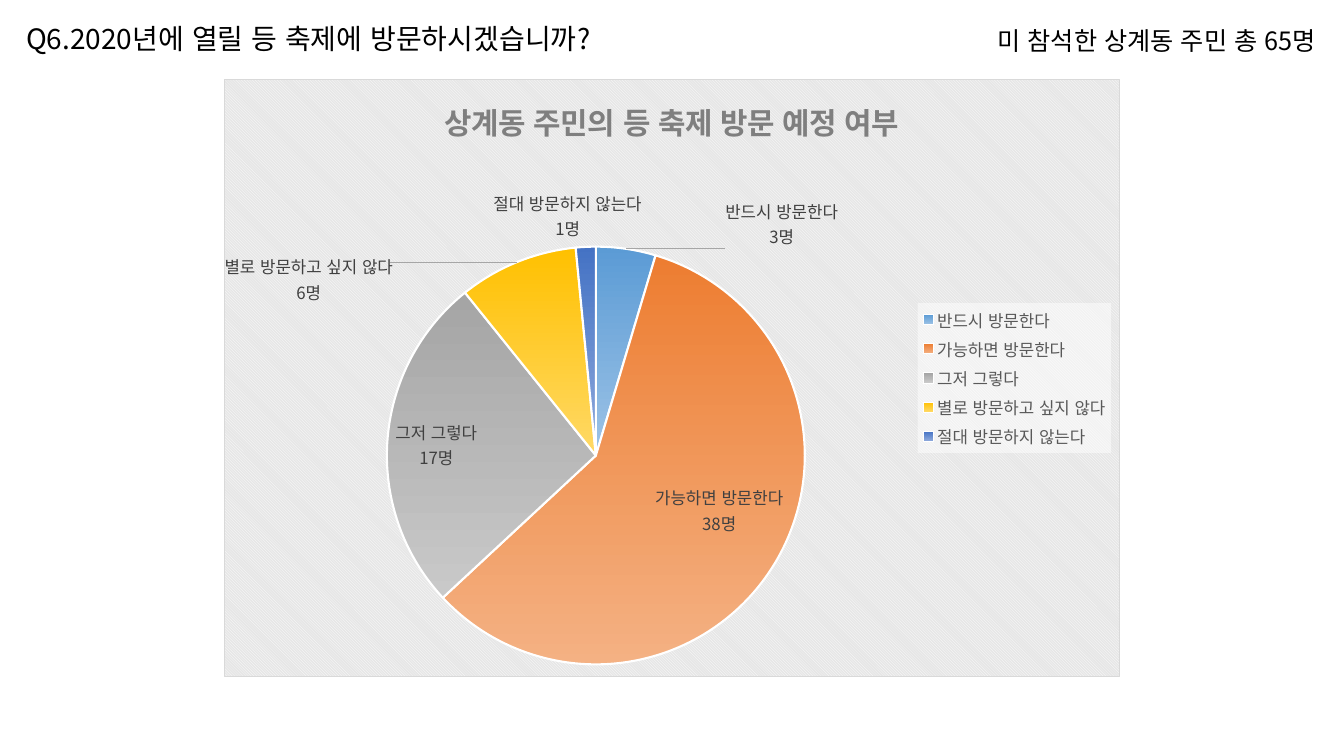
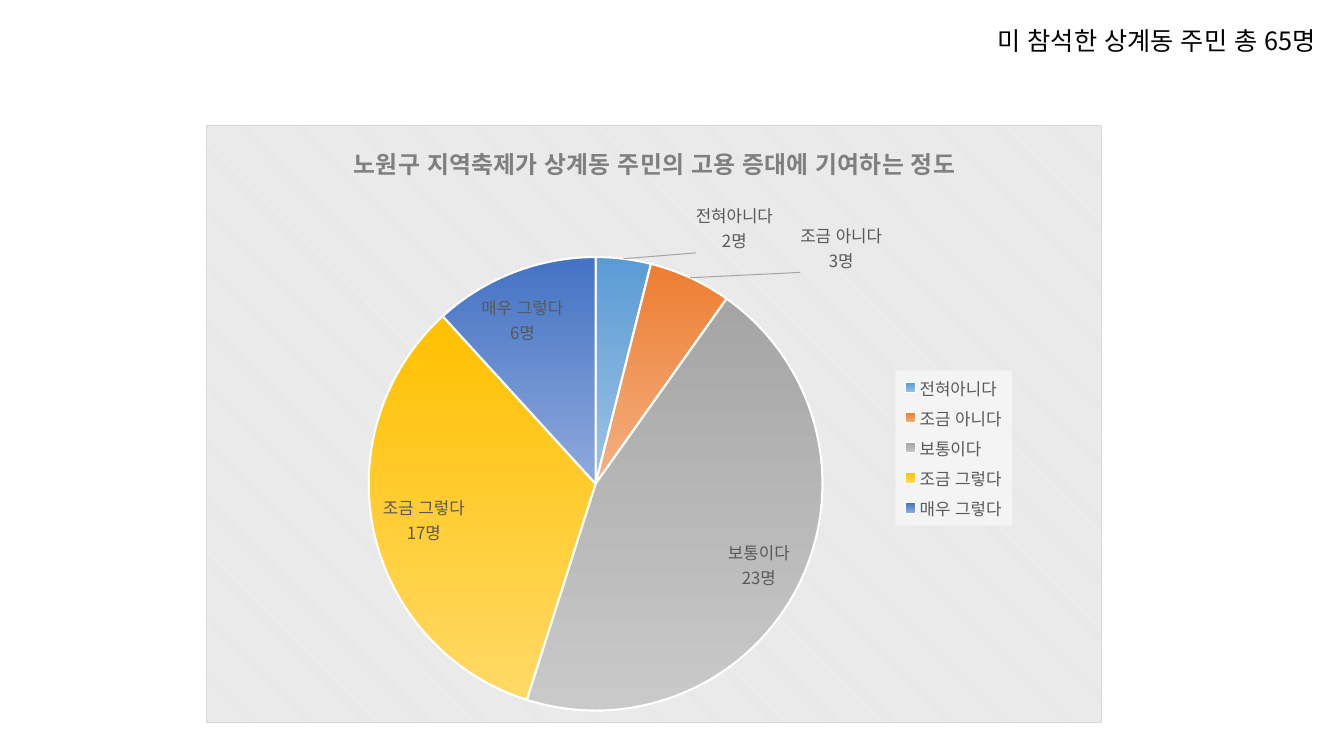
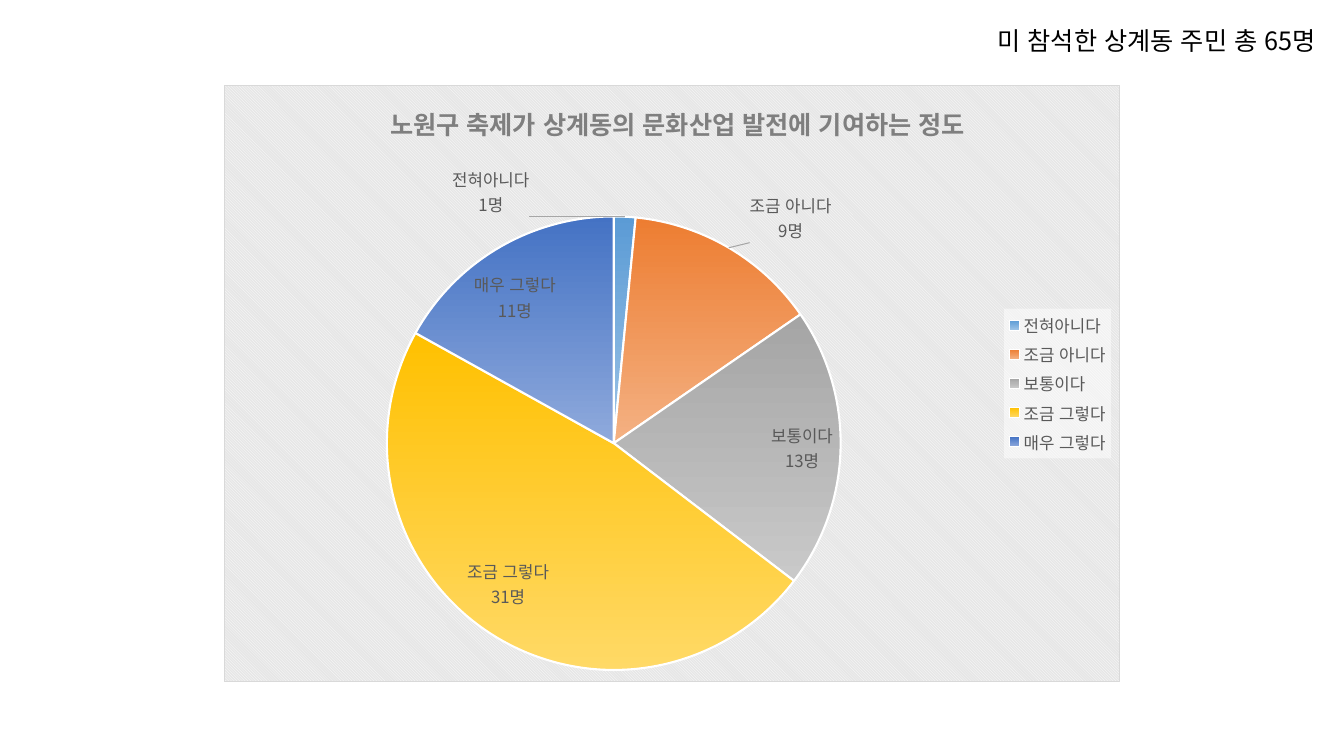
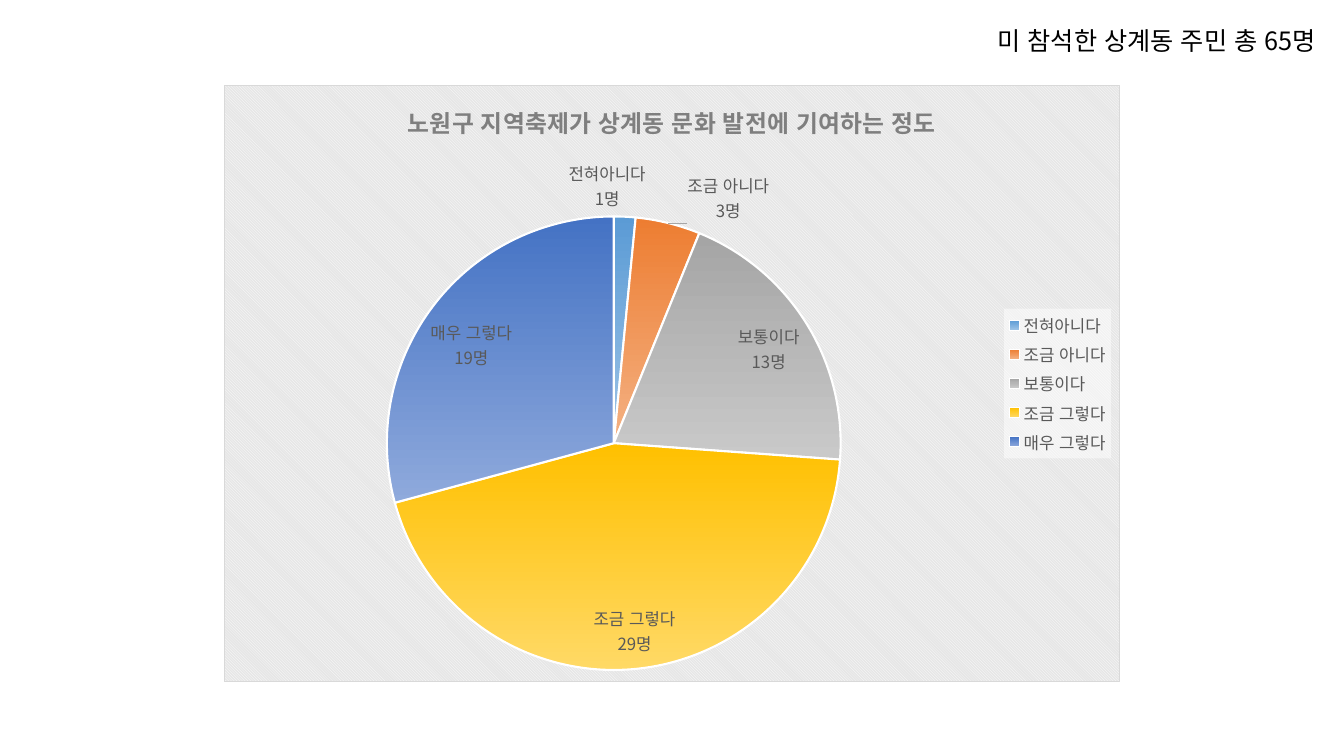
from dataclasses import dataclass, field

from lxml import etree
from pptx import Presentation
from pptx.chart import data as chart_data
from pptx.dml.color import RGBColor
from pptx.enum import chart as chart_enum
from pptx.enum import lang as lang_enum
from pptx.enum import text as text_enum
from pptx.oxml import parse_xml
from pptx.oxml import ns
from pptx.util import Pt

FONT = "Noto Sans CJK KR"
COLORS = {
    "text": "000000",
    "white": "FFFFFF",
    "title": "7F7F7F",
    "label_dark": "404040",
    "label": "595959",
    "stripe": "E6E6E6",
    "border": "D9D9D9",
    "leader": "A6A6A6",
}
GRADIENTS = [
    ("5B9BD5", "9DC3E6"),
    ("ED7D31", "F4B183"),
    ("A5A5A5", "C9C9C9"),
    ("FFC000", "FFD966"),
    ("4472C4", "8FAADC"),
]
CHART_SIZE = (640, 427)
VISIT_ANSWERS = ["반드시 방문한다", "가능하면 방문한다", "그저 그렇다", "별로 방문하고 싶지 않다", "절대 방문하지 않는다"]
DEGREE_ANSWERS = ["전혀아니다", "조금 아니다", "보통이다", "조금 그렇다", "매우 그렇다"]
RESPONDENTS = "미 참석한 상계동 주민 총 65명"
NAMESPACES = ns.nsdecls("c", "a")


@dataclass
class Survey:
    title: str
    title_size: float
    title_left: float
    position: tuple[float, float]
    counts: list[int]
    pie: tuple[float, float, float, float] = (0.18, 0.22, 0.51, 0.76)
    answers: list[str] = field(default_factory=lambda: DEGREE_ANSWERS)
    label_color: str = "label"
    label_offsets: dict[int, tuple[float, float]] = field(default_factory=dict)
    legend: tuple[float, float, float, float] | None = None
    question: str = ""


SURVEYS = [
    Survey("상계동 주민의 등 축제 방문 예정 여부", 21.3, 0.24, (160, 56.5), [3, 38, 17, 6, 1],
           pie=(0.18, 0.28, 0.47, 0.7), answers=VISIT_ANSWERS, label_color="label_dark",
           label_offsets={0: (0.11, 0.01), 3: (-0.14, 0.08), 4: (-0.02, 0)},
           question="Q6.2020년에 열릴 등 축제에 방문하시겠습니까?"),
    Survey("노원구 지역축제가 상계동 주민의 고용 증대에 기여하는 정도", 17, 0.16, (147, 89.5), [2, 3, 23, 17, 6],
           label_offsets={0: (0.08, 0), 1: (0.12, 0)}, legend=(0.77, 0.41, 0.13, 0.26)),
    Survey("노원구 축제가 상계동의 문화산업 발전에 기여하는 정도", 18, 0.18, (160, 60.5), [1, 9, 13, 31, 11],
           label_offsets={0: (-0.15, 0.01), 1: (0.02, 0)}),
    Survey("노원구 지역축제가 상계동 문화 발전에 기여하는 정도", 17, 0.2, (160, 60.5), [1, 3, 13, 29, 19],
           label_offsets={0: (-0.02, 0), 1: (0.02, 0.01)}),
]


def rgb(name: str) -> RGBColor:
    return RGBColor.from_string(COLORS.get(name, name))


def format_font(font, size: float, color: str, bold: bool = False) -> None:
    font.name = FONT
    font.size = Pt(size)
    font.bold = bold
    font.language_id = lang_enum.MSO_LANGUAGE_ID.KOREAN
    font.color.rgb = rgb(color)


def add_asian_font(element) -> None:
    for latin in list(element.iter(ns.qn("a:latin"))):
        asian = etree.Element(ns.qn("a:ea"))
        asian.set("typeface", FONT)
        latin.addnext(asian)


def set_layout(parent, previous, values: tuple[float, ...], fixed: bool = True, inner: bool = False) -> None:
    for layout in parent.findall(ns.qn("c:layout")):
        parent.remove(layout)
    settings = [("layoutTarget", "inner")] if inner else []
    if fixed:
        settings += [("xMode", "edge"), ("yMode", "edge")]
    settings += zip("xywh", values)
    content = "".join(f'<c:{name} val="{value}"/>' for name, value in settings)
    layout = parse_xml(f"<c:layout {NAMESPACES}><c:manualLayout>{content}</c:manualLayout></c:layout>")
    if previous is None:
        parent.insert(0, layout)
    else:
        previous.addnext(layout)


def add_area_style(parent, content: str) -> None:
    style = parse_xml(f"<c:spPr {NAMESPACES}>{content}</c:spPr>")
    parent.find(ns.qn("c:txPr")).addprevious(style)


def solid_line(color: str) -> str:
    return f'<a:ln w="{Pt(0.75)}"><a:solidFill><a:srgbClr val="{COLORS[color]}"/></a:solidFill></a:ln>'


def format_slices(chart, survey: Survey) -> None:
    series = chart.plots[0].series[0]
    labels = series.data_labels
    labels.show_value = True
    labels.show_category_name = True
    labels.position = chart_enum.XL_LABEL_POSITION.BEST_FIT
    format_font(labels.font, 12, survey.label_color)
    for index, (answer, count) in enumerate(zip(survey.answers, survey.counts)):
        point = series.points[index]
        fill = point.format.fill
        fill.gradient()
        fill.gradient_angle = 270
        for stop, color in zip(fill.gradient_stops, GRADIENTS[index]):
            stop.color.rgb = rgb(color)
        point.format.line.color.rgb = rgb("white")
        point.format.line.width = Pt(1.5)
        label = point.data_label
        label.text_frame.text = f"{answer}\n{count}명"
        for paragraph in label.text_frame.paragraphs:
            for run in paragraph.runs:
                format_font(run.font, 12, survey.label_color)
        label.position = chart_enum.XL_LABEL_POSITION.BEST_FIT
    for label in chart.element.xpath(".//c:dLbl"):
        label.find(ns.qn("c:showCatName")).set("val", "1")
        marker = label.find(ns.qn("c:idx"))
        offset = survey.label_offsets.get(int(marker.get("val")))
        if offset:
            set_layout(label, marker, offset, fixed=False)
    for body in chart.element.xpath(".//c:ser/c:dLbls//a:bodyPr"):
        body.set("wrap", "square")
    group = chart.element.xpath(".//c:ser/c:dLbls")[0]
    for old in group.findall(ns.qn("c:showLeaderLines")):
        group.remove(old)
    group.append(parse_xml(f'<c:showLeaderLines {NAMESPACES} val="1"/>'))
    group.append(parse_xml(
        f'<c:leaderLines {NAMESPACES}><c:spPr>{solid_line("leader")}</c:spPr></c:leaderLines>'))


def add_survey_chart(slide, survey: Survey) -> None:
    values = chart_data.CategoryChartData()
    values.categories = survey.answers
    values.add_series("Series 1", survey.counts)
    left, top = survey.position
    frame = slide.shapes.add_chart(chart_enum.XL_CHART_TYPE.PIE, Pt(left), Pt(top),
                                   *map(Pt, CHART_SIZE), values)
    chart = frame.chart
    chart.plots[0].vary_by_categories = True
    format_font(chart.font, 10, "text")
    chart.has_title = True
    title = chart.chart_title
    title.text_frame.text = survey.title
    format_font(title.text_frame.paragraphs[0].runs[0].font, survey.title_size, "title", bold=True)
    title_element = chart.element.xpath("c:chart/c:title")[0]
    set_layout(title_element, title_element.find(ns.qn("c:tx")), (survey.title_left, 0.02))

    chart.has_legend = True
    chart.legend.position = chart_enum.XL_LEGEND_POSITION.RIGHT
    chart.legend.include_in_layout = False
    format_font(chart.legend.font, 12, "label")
    legend = chart.element.xpath("c:chart/c:legend")[0]
    if survey.legend:
        set_layout(legend, legend.find(ns.qn("c:legendPos")), survey.legend)
    add_area_style(legend, f'<a:solidFill><a:srgbClr val="{COLORS["white"]}">'
                           '<a:alpha val="50000"/></a:srgbClr></a:solidFill>')
    add_area_style(chart.element,
                   f'<a:pattFill prst="dkDnDiag"><a:fgClr><a:srgbClr val="{COLORS["white"]}"/></a:fgClr>'
                   f'<a:bgClr><a:srgbClr val="{COLORS["stripe"]}"/></a:bgClr></a:pattFill>'
                   + solid_line("border"))
    set_layout(chart.element.xpath("c:chart/c:plotArea")[0], None, survey.pie, inner=True)
    format_slices(chart, survey)
    add_asian_font(chart.element)


def write_heading(shape, content: str, size: float, box: tuple[float, float, float, float]) -> None:
    shape.left, shape.top, shape.width, shape.height = map(Pt, box)
    frame = shape.text_frame
    frame.text = content
    frame.word_wrap = False
    frame.auto_size = text_enum.MSO_AUTO_SIZE.SHAPE_TO_FIT_TEXT
    frame.vertical_anchor = text_enum.MSO_ANCHOR.TOP
    paragraph = frame.paragraphs[0]
    paragraph.alignment = text_enum.PP_ALIGN.LEFT
    format_font(paragraph.runs[0].font, size, "text")
    add_asian_font(shape.element)


def main() -> None:
    presentation = Presentation()
    presentation.slide_width = Pt(960)
    presentation.slide_height = Pt(540)
    title_only, blank = presentation.slide_layouts[5], presentation.slide_layouts[6]
    for survey in SURVEYS:
        slide = presentation.slides.add_slide(title_only if survey.question else blank)
        add_survey_chart(slide, survey)
        if survey.question:
            write_heading(slide.shapes.title, survey.question, 20, (11.5, 12, 451, 31.5))
        note = slide.shapes.add_textbox(0, 0, 0, 0)
        write_heading(note, RESPONDENTS, 18, (705.5, 14.5, 266.5, 29))
    presentation.save("out.pptx")


if __name__ == "__main__":
    main()
